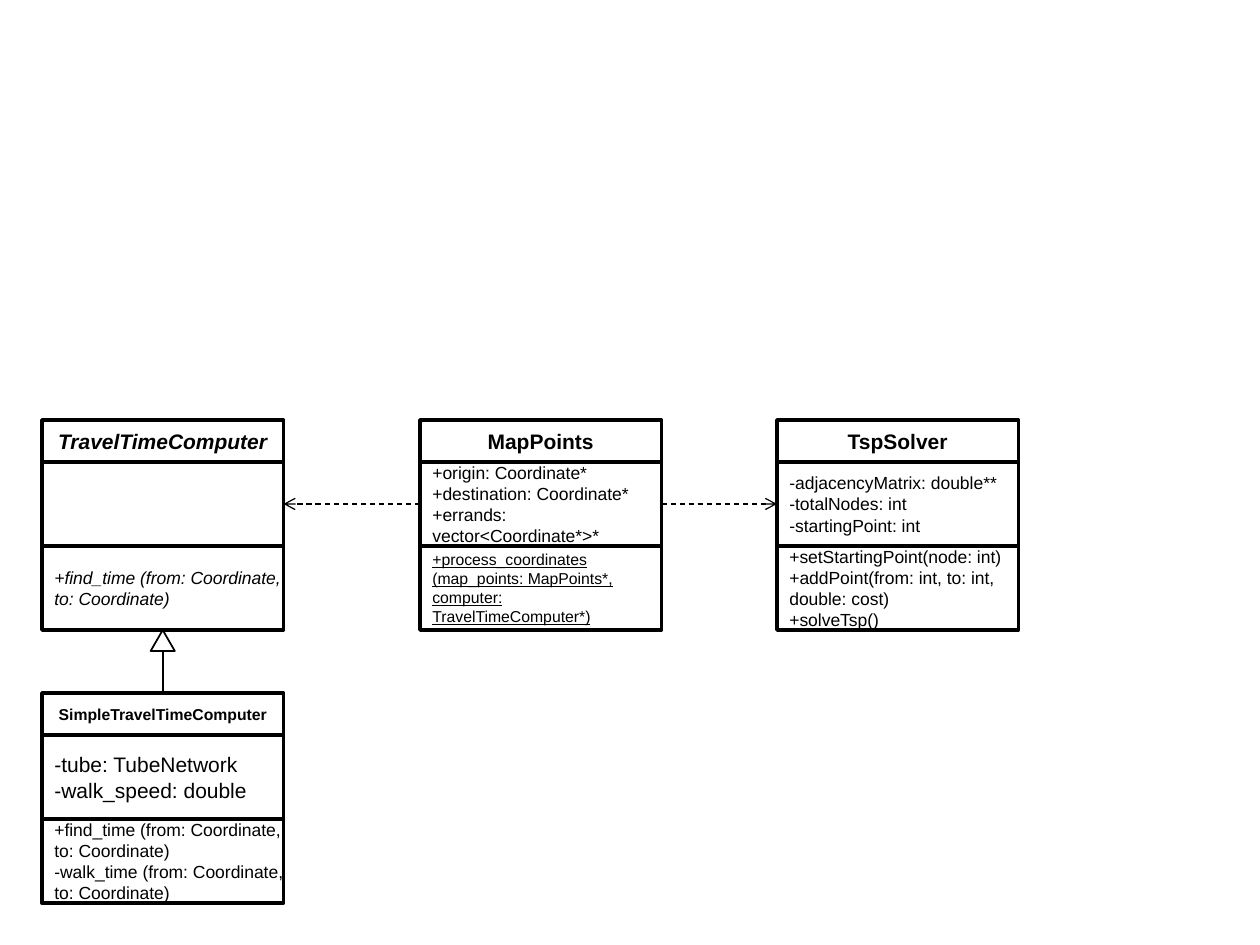
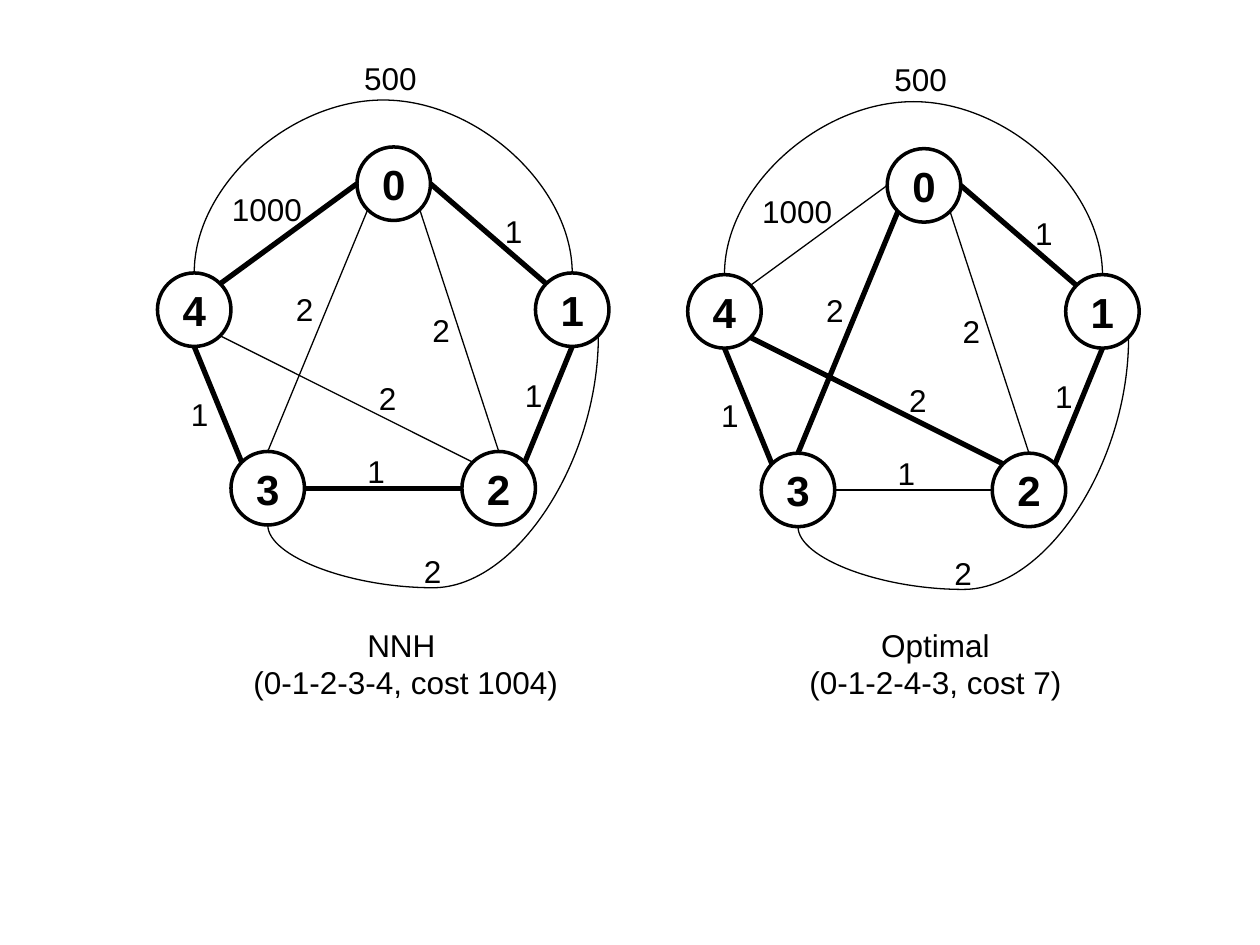
from copy import deepcopy
from dataclasses import dataclass

from lxml import etree
from pptx import Presentation
from pptx.dml.color import RGBColor
from pptx.enum.dml import MSO_LINE
from pptx.enum.shapes import MSO_CONNECTOR, MSO_SHAPE
from pptx.enum.text import MSO_ANCHOR, MSO_AUTO_SIZE, PP_ALIGN
from pptx.oxml.ns import qn
from pptx.util import Cm, Pt

RECT, OVAL, TRIANGLE = MSO_SHAPE.RECTANGLE, MSO_SHAPE.OVAL, MSO_SHAPE.ISOSCELES_TRIANGLE
STRAIGHT, CURVE = MSO_CONNECTOR.STRAIGHT, MSO_CONNECTOR.CURVE
LEFT, CENTER = PP_ALIGN.LEFT, PP_ALIGN.CENTER
TOP, MIDDLE = MSO_ANCHOR.TOP, MSO_ANCHOR.MIDDLE
DASH = MSO_LINE.DASH


@dataclass(frozen=True)
class Theme:
    ink: RGBColor = RGBColor(0, 0, 0)
    font: str = "Arial"
    name: float = 12
    member: float = 10
    small: float = 9
    node: float = 24
    label: float = 18
    thin: float = 0.75
    medium: float = 1
    outline: float = 2
    thick: float = 3


T = Theme()

CLASS_W, NAME_H, PART_H = 23, 4, 8
CLASSES = [
    {"at": (4, 66),
     "name": ("SimpleTravelTimeComputer", {"size": T.small}),
     "attributes": ("-tube: TubeNetwork\n-walk_speed: double", {"size": T.name}),
     "methods": ("+find_time (from: Coordinate,\nto: Coordinate)\n"
                 "-walk_time (from: Coordinate, to: Coordinate)", {})},
    {"at": (4, 40),
     "name": ("TravelTimeComputer", {"italic": True}),
     "attributes": ("", {}),
     "methods": ("+find_time (from: Coordinate,\nto: Coordinate)", {"italic": True})},
    {"at": (74, 40),
     "name": ("TspSolver", {}),
     "attributes": ("-adjacencyMatrix: double**\n-totalNodes: int\n-startingPoint: int", {}),
     "methods": ("+setStartingPoint(node: int)\n+addPoint(from: int, to: int,\n"
                 "double: cost)\n+solveTsp()", {})},
    {"at": (40, 40),
     "name": ("MapPoints", {}),
     "attributes": ("+origin: Coordinate*\n+destination: Coordinate*\n"
                    "+errands: vector<Coordinate*>*", {}),
     "methods": ("+process_coordinates (map_points: MapPoints*,\n"
                 "computer: TravelTimeComputer*)", {"size": T.small, "underline": True})},
]
DEPENDENCIES = [("MapPoints", 1, "TravelTimeComputer", 3), ("MapPoints", 3, "TspSolver", 1)]

NODE_SIZE = 7
NODES = [(34, 14), (51, 26), (44, 43), (22, 43), (15, 26)]
COMPASS = {"N": (0, -1), "S": (0, 1), "W": (-1, 0), "E": (1, 0),
           "NW": (-0.71, -0.71), "NE": (0.71, -0.71),
           "SW": (-0.71, 0.71), "SE": (0.71, 0.71)}
EDGES = [
    (0, "E", 1, "NW", "1", (46.9, 19.6)),
    (1, "S", 2, "NE", "1", (48.8, 35.2)),
    (2, "W", 3, "E", "1", (33.8, 42.5)),
    (3, "NW", 4, "S", "1", (17, 37)),
    (4, "NE", 0, "W", "1000", (20.9, 17.5)),
    (0, "SE", 2, "N", "2", (40, 29)),
    (0, "SW", 3, "N", "2", (27, 27)),
    (4, "SE", 2, "NW", "2", (34.9, 35.5)),
]
CURVES = [
    (1, "N", 4, "N", -16.8, "500", (33.5, 5)),
    (1, "SE", 3, "S", 24, "2", (39.2, 52)),
]
GRAPHS = [
    {"shift": (0, 0), "tour": [0, 1, 2, 3, 4],
     "caption": "NNH \n(0-1-2-3-4, cost 1004)", "caption_box": (22.8, 59, 31.7, 8.5)},
    {"shift": (50.5, 0.16), "tour": [0, 1, 2, 4, 3],
     "caption": "Optimal\n(0-1-2-4-3, cost 7)", "caption_box": (75.8, 59, 26.6, 8.5)},
]


def grid(*units):
    return [Cm(2.54 / 12 * u) for u in units]


def write(tf, text, align, anchor, **font):
    tf.vertical_anchor = anchor
    p = tf.paragraphs[0]
    p.text = text
    p.alignment = align
    values = {"name": T.font, **font, "size": Pt(font["size"])}
    for r in p.runs:
        for key, value in values.items():
            setattr(r.font, key, value)
        r.font.color.rgb = T.ink
    for br in p._p.findall(qn("a:br")):
        br.append(deepcopy(p.runs[0]._r.rPr))


def outline(shape, width):
    shape.line.color.rgb = T.ink
    shape.line.width = Pt(width)


def add_outline_shape(s, kind, box, width=T.outline):
    sp = s.shapes.add_shape(kind, *grid(*box))
    sp.shadow.inherit = False
    sp.fill.background()
    outline(sp, width)
    return sp


def add_line(s, start, end, width, kind=STRAIGHT):
    c = s.shapes.add_connector(kind, *grid(*start, *end))
    outline(c, width)
    etree.SubElement(c._element.spPr, qn("a:effectLst"))
    return c


def add_label(s, text, box, align=LEFT):
    tf = s.shapes.add_textbox(*grid(*box)).text_frame
    tf.word_wrap = False
    tf.auto_size = MSO_AUTO_SIZE.SHAPE_TO_FIT_TEXT
    write(tf, text, align, TOP, size=T.label)


def add_curve(s, start, end, bow):
    (x1, y1), (x2, y2) = start, end
    w, h = max(abs(y2 - y1), 0.12), abs(x2 - x1)
    cx, cy = (x1 + x2) / 2, (y1 + y2) / 2
    up = bow < 0
    ys = (cy - h / 2, cy + h / 2)
    first, last = ys[::-1] if up else ys
    c = add_line(s, (cx - w / 2, first), (cx + w / 2, last), T.thin, CURVE)
    spPr = c._element.spPr
    spPr.find(qn("a:xfrm")).set("rot", str((270 if up else 90) * 60000))
    guides = spPr.find(qn("a:prstGeom")).find(qn("a:avLst"))
    etree.SubElement(guides, qn("a:gd"), name="adj1",
                     fmla=f"val {round(abs(bow) / w * 100000)}")


def add_class(s, spec):
    x, y = spec["at"]
    parts = {}
    for part, height in (("name", NAME_H), ("attributes", PART_H), ("methods", PART_H)):
        sp = add_outline_shape(s, RECT, (x, y, CLASS_W, height))
        text, style = spec[part]
        is_name = part == "name"
        if part == "methods":
            sp.text_frame.margin_right = 0
        if text:
            font = {"size": T.name if is_name else T.member, "bold": is_name, **style}
            write(sp.text_frame, text, CENTER if is_name else LEFT, MIDDLE, **font)
        parts[part] = sp
        y += height
    return parts


def build_class_diagram(s):
    boxes = {spec["name"][0]: add_class(s, spec) for spec in CLASSES}
    child_x, child_y = CLASSES[0]["at"]
    parent_bottom = CLASSES[1]["at"][1] + NAME_H + 2 * PART_H
    mid = child_x + CLASS_W / 2
    add_outline_shape(s, TRIANGLE, (mid - 1.15, parent_bottom, 2.3, 2), T.medium)
    c = add_line(s, (mid, child_y), (mid, parent_bottom + 2), T.medium)
    c.begin_connect(boxes["SimpleTravelTimeComputer"]["name"], 0)
    for user, user_side, used, used_side in DEPENDENCIES:
        c = add_line(s, (0, 0), (1, 1), T.thin)
        c.begin_connect(boxes[user]["attributes"], user_side)
        c.end_connect(boxes[used]["attributes"], used_side)
        c.line.dash_style = DASH
        etree.SubElement(c.line._get_or_add_ln(), qn("a:tailEnd"), type="arrow")


def build_graph(s, graph):
    dx, dy = graph["shift"]
    tour = graph["tour"]
    legs = {frozenset(leg) for leg in zip(tour, tour[1:] + tour[:1])}
    radius = NODE_SIZE / 2

    def rim(node, side):
        (x, y), (ux, uy) = NODES[node], COMPASS[side]
        return x + dx + radius * (1 + ux), y + dy + radius * (1 + uy)

    for i, (x, y) in enumerate(NODES):
        sp = add_outline_shape(s, OVAL, (x + dx, y + dy, NODE_SIZE, NODE_SIZE))
        write(sp.text_frame, str(i), CENTER, MIDDLE, size=T.node, bold=True)
    for a, a_side, b, b_side, *_ in EDGES:
        width = T.thick if frozenset((a, b)) in legs else T.thin
        add_line(s, rim(a, a_side), rim(b, b_side), width)
    for a, a_side, b, b_side, bow, *_ in CURVES:
        add_curve(s, rim(a, a_side), rim(b, b_side), bow)
    for *_, cost, (x, y) in EDGES + CURVES:
        add_label(s, cost, (x + dx, y + dy, 2.4 + 1.67 * len(cost), 4.8))
    add_label(s, graph["caption"], graph["caption_box"], CENTER)


def main():
    prs = Presentation()
    prs.slide_width, prs.slide_height = Cm(25.4), Cm(19.05)
    blank = prs.slide_layouts[6]
    build_class_diagram(prs.slides.add_slide(blank))
    s = prs.slides.add_slide(blank)
    for graph in GRAPHS:
        build_graph(s, graph)
    prs.save("out.pptx")


if __name__ == "__main__":
    main()
